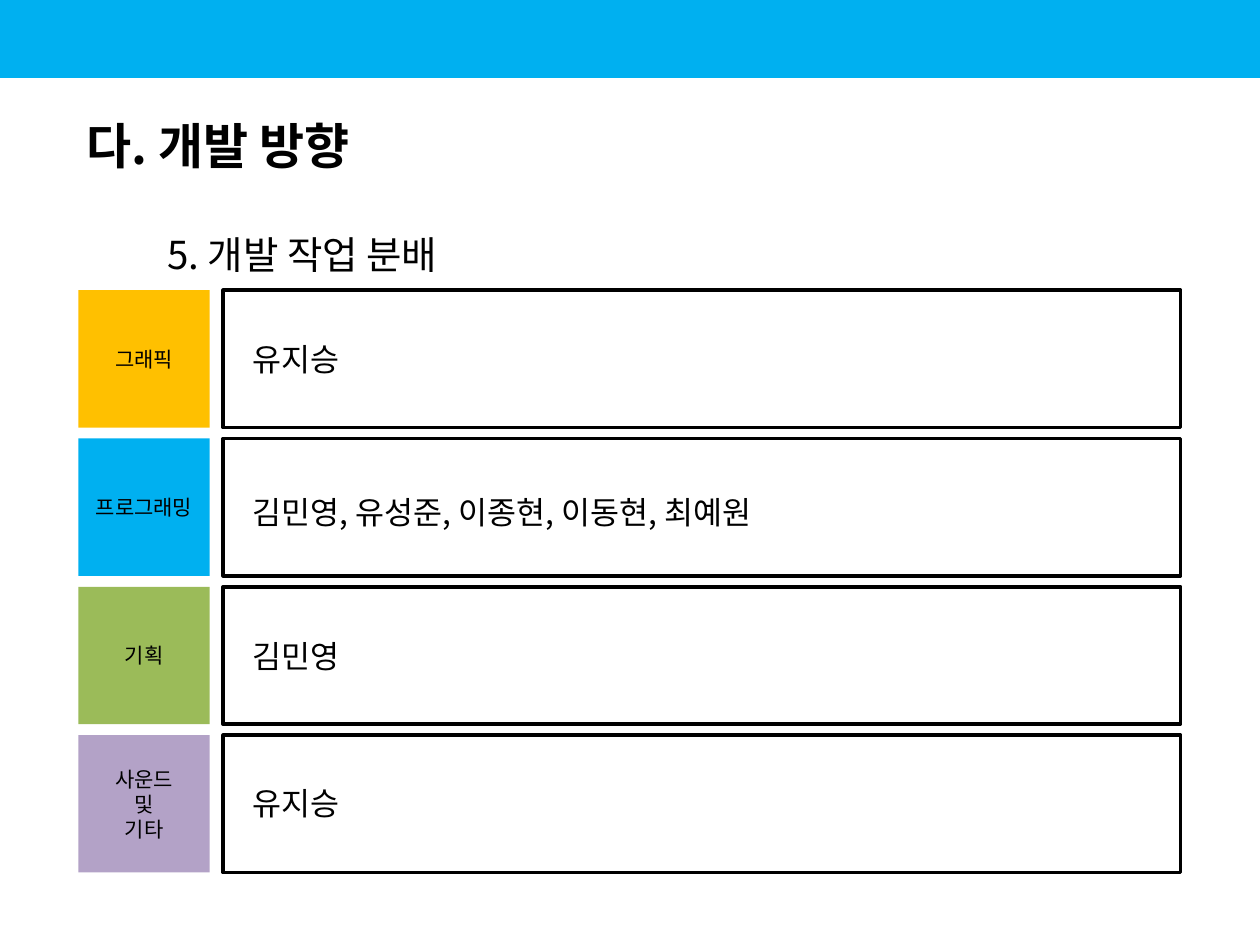
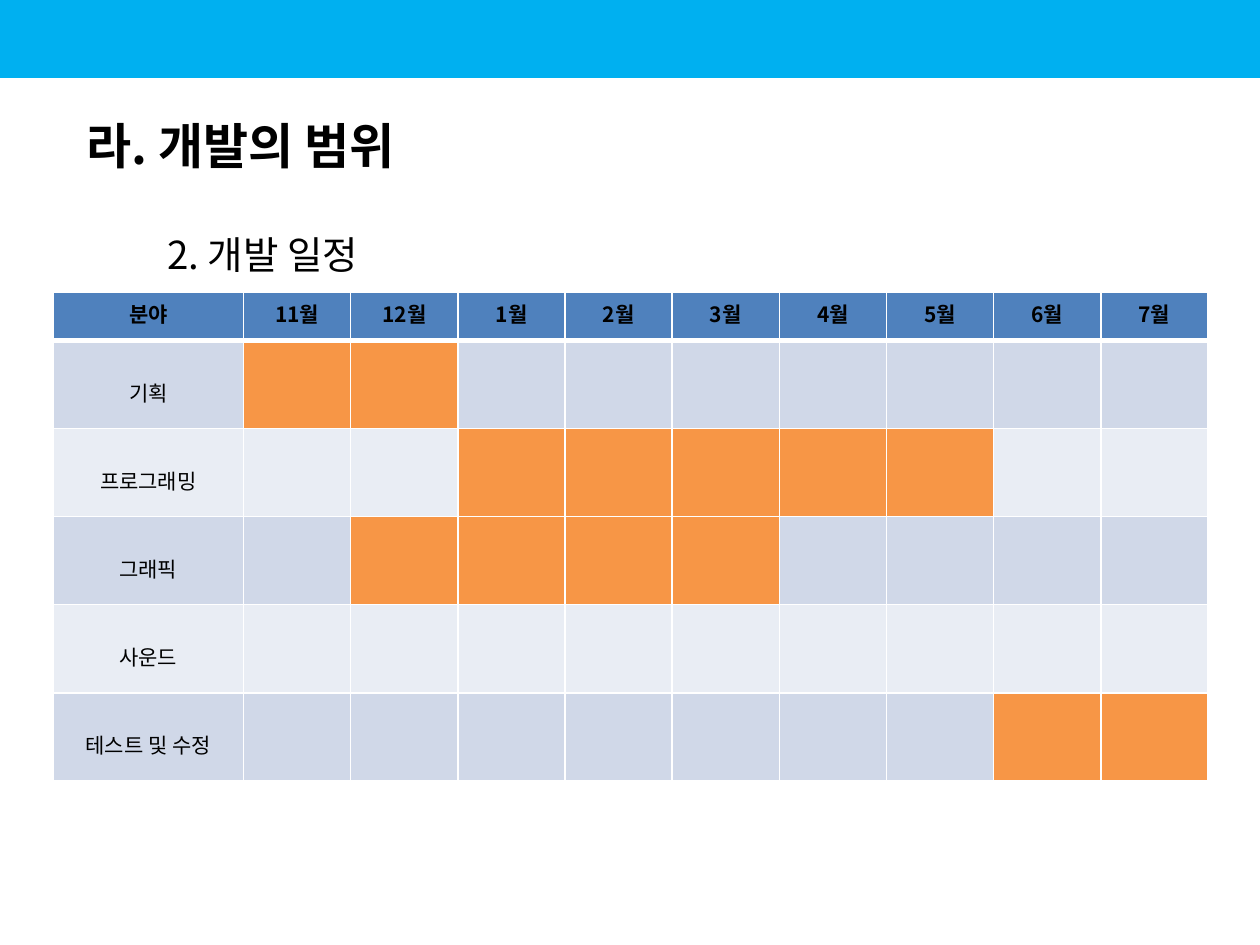
from lxml import etree
from pptx import Presentation
from pptx.dml.color import RGBColor
from pptx.enum import shapes, text
from pptx.oxml import ns
from pptx.util import Cm, Pt

FONT = "Noto Sans CJK KR"
BLACK = RGBColor(0x00, 0x00, 0x00)
WHITE = RGBColor(0xFF, 0xFF, 0xFF)
SKY = RGBColor(0x00, 0xB0, 0xF0)
GOLD = RGBColor(0xFF, 0xC0, 0x00)
GREEN = RGBColor(0x9B, 0xBB, 0x59)
LILAC = RGBColor(0xB3, 0xA2, 0xC7)
HEAD = RGBColor(0x4F, 0x81, 0xBD)
STRIPES = RGBColor(0xD0, 0xD8, 0xE8), RGBColor(0xE9, 0xED, 0xF4)
BUSY = RGBColor(0xF7, 0x96, 0x46)

WIDTH, HEIGHT = 25.4, 19.05

# label, colour, people, width of the people text, its offset from the row top
TEAM = [
    ("그래픽", GOLD, "유지승", 7.85, 0.89),
    ("프로그래밍", SKY, "김민영, 유성준, 이종현, 이동현, 최예원", 17.45, 0.97),
    ("기획", GREEN, "김민영", 8.61, 0.89),
    ("사운드\n및\n기타", LILAC, "유지승", 8.61, 0.87),
]

MONTHS = ["11월", "12월"] + [f"{n}월" for n in range(1, 8)]
# task, its busy columns
TASKS = [
    ("기획", range(1, 3)),
    ("프로그래밍", range(3, 8)),
    ("그래픽", range(2, 6)),
    ("사운드", range(0)),
    ("테스트 및 수정", range(8, 10)),
]


def write(frame, words, size, bold=False, align=None, anchor=None, space=None):
    frame.word_wrap = True
    if anchor is not None:
        frame.vertical_anchor = anchor
    frame.text = words
    for para in frame.paragraphs:
        para.alignment = align
        para.line_spacing = space
        for run in para.runs:
            font = run.font
            font.name, font.size, font.bold = FONT, Pt(size), bold
            font.color.rgb = BLACK
            east = etree.SubElement(run._r.get_or_add_rPr(), ns.qn("a:ea"))
            east.set("typeface", FONT)


def add_text(slide, box, words, size, **style):
    area = slide.shapes.add_textbox(*map(Cm, box))
    write(area.text_frame, words, size, **style)


def add_rect(slide, box, fill=None, line=None):
    rect = slide.shapes.add_shape(shapes.MSO_SHAPE.RECTANGLE, *map(Cm, box))
    rect.shadow.inherit = False
    if fill is None:
        rect.fill.background()
    else:
        rect.fill.solid()
        rect.fill.fore_color.rgb = fill
    if line is None:
        rect.line.fill.background()
    else:
        rect.line.color.rgb = line
        rect.line.width = Pt(2)
    return rect


def add_page(deck, title, topic):
    """Add a slide with the band, the title and the topic line."""
    slide = deck.slides.add_slide(deck.slide_layouts[6])
    add_rect(slide, (0, 0, WIDTH, 1.57), fill=SKY)
    add_text(slide, (1.5, 1.9, 23.9, 2.06), title, 28, bold=True,
             anchor=text.MSO_ANCHOR.MIDDLE)
    add_text(slide, (3.12, 4.06, 20.35, 1.83), topic, 22, space=1.5)
    return slide


def add_team(slide, box):
    left, top, width, height = box
    gap, tag, inset = 0.22, 2.65, 0.35
    tall = (height - gap * (len(TEAM) - 1)) / len(TEAM)
    start = left + tag + 0.27
    for i, (label, fill, people, span, drop) in enumerate(TEAM):
        y = top + i * (tall + gap)
        add_rect(slide, (start, y, left + width - start, tall), line=BLACK)
        rect = add_rect(slide, (left, y, tag, tall), fill=fill)
        write(rect.text_frame, label, 12, align=text.PP_ALIGN.CENTER,
              anchor=text.MSO_ANCHOR.MIDDLE)
        add_text(slide, (start + inset, y + drop, span, 1.02), people, 18)


def edge(cell, **widths):
    """Draw white borders; L, R, T and B give widths in points."""
    props = cell._tc.get_or_add_tcPr()
    for side in "LRTB":
        line = etree.SubElement(props, ns.qn(f"a:ln{side}"))
        line.set("w", str(Pt(widths.get(side, 1))))
        fill = etree.SubElement(line, ns.qn("a:solidFill"))
        etree.SubElement(fill, ns.qn("a:srgbClr")).set("val", str(WHITE))


def paint(cell, fill, **widths):
    edge(cell, **widths)
    cell.fill.solid()
    cell.fill.fore_color.rgb = fill


def add_plan(slide, box):
    left, top, width, height = box
    first, head = 3.84, 0.97
    cols, rows = len(MONTHS) + 1, len(TASKS) + 1
    table = slide.shapes.add_table(rows, cols, *map(Cm, box)).table
    for c, col in enumerate(table.columns):
        col.width = Cm((width - first) / len(MONTHS) if c else first)
    for r, row in enumerate(table.rows):
        row.height = Cm((height - head) / len(TASKS) if r else head)

    for c, name in enumerate(["분야"] + MONTHS):
        cell = table.cell(0, c)
        paint(cell, HEAD, B=3)
        write(cell.text_frame, name, 12, bold=True,
              align=text.PP_ALIGN.CENTER)
    for r, (task, busy) in enumerate(TASKS, 1):
        for c in range(cols):
            fill = BUSY if c in busy else STRIPES[(r - 1) % 2]
            paint(table.cell(r, c), fill, T=3 if r == 1 else 1)
        label = table.cell(r, 0)
        label.margin_top = Cm(0.74)
        write(label.text_frame, task, 12, align=text.PP_ALIGN.CENTER)


def main():
    deck = Presentation()
    deck.slide_width, deck.slide_height = Cm(WIDTH), Cm(HEIGHT)
    add_team(add_page(deck, "다. 개발 방향", "5. 개발 작업 분배"),
             (1.58, 5.85, 22.22, 11.74))
    add_plan(add_page(deck, "라. 개발의 범위", "2. 개발 일정"),
             (1.07, 5.89, 23.28, 9.86))
    deck.save("out.pptx")


if __name__ == "__main__":
    main()
